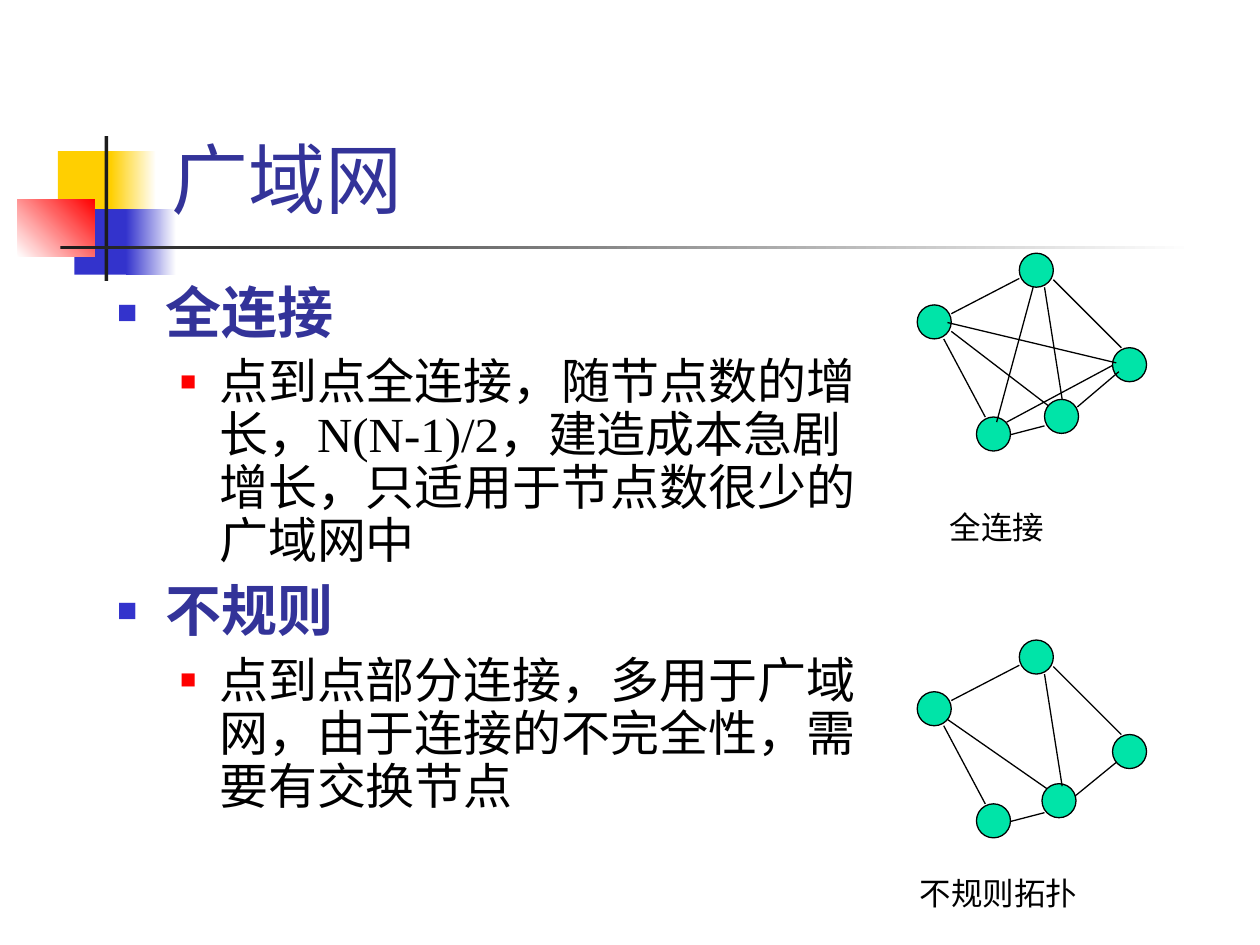
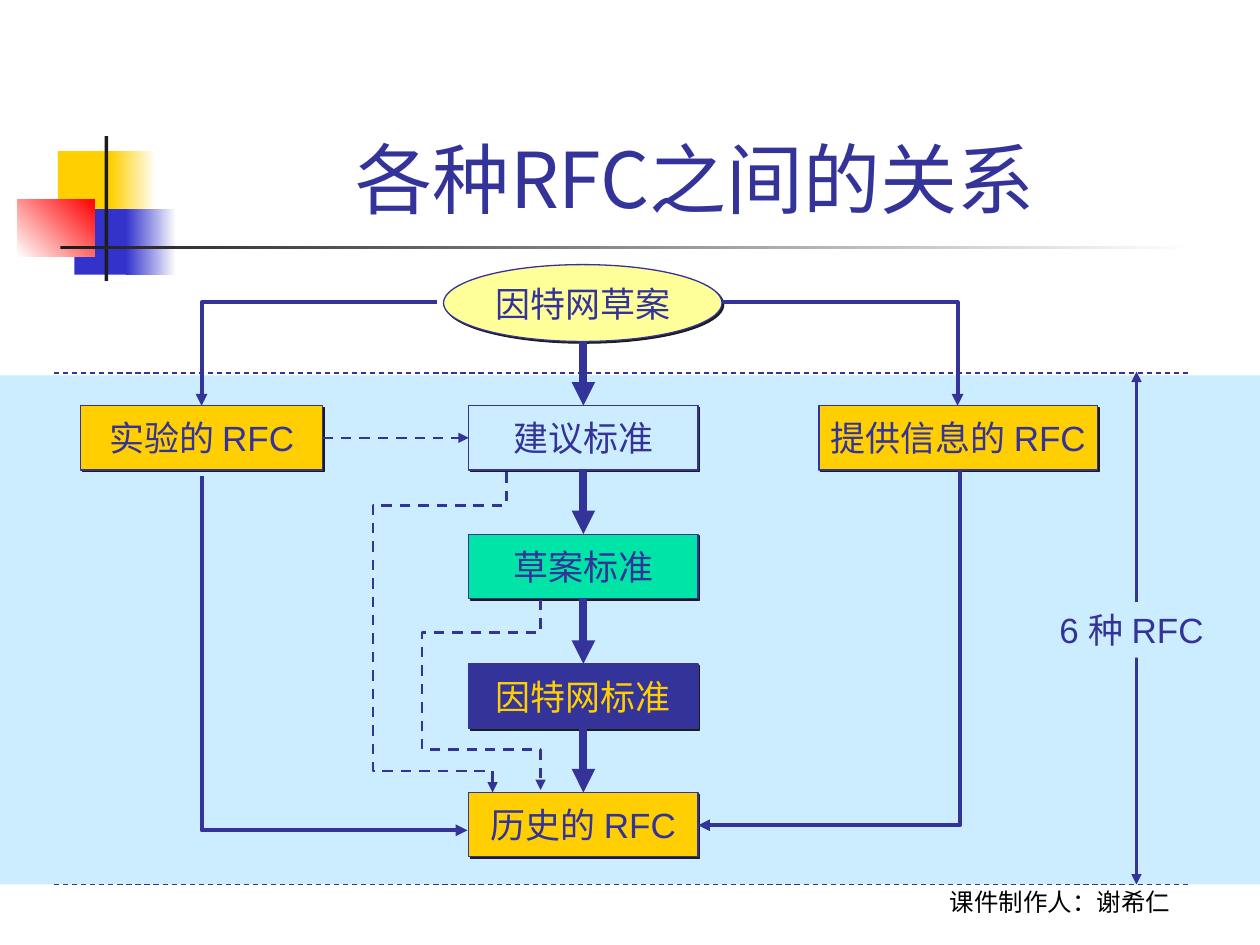
from dataclasses import dataclass

from lxml.etree import SubElement
from pptx import Presentation
from pptx.dml.color import RGBColor
from pptx.enum.dml import MSO_LINE
from pptx.enum.shapes import MSO_CONNECTOR, MSO_SHAPE
from pptx.enum.text import MSO_ANCHOR, MSO_AUTO_SIZE, PP_ALIGN
from pptx.oxml.ns import qn
from pptx.util import Inches, Pt


@dataclass(frozen=True)
class Theme:
    navy: str = "333399"
    blue: str = "3333CC"
    gold: str = "FFCF01"
    red: str = "FF0000"
    green: str = "00E4A8"
    sky: str = "CCECFF"
    cream: str = "FFFF99"
    ink: str = "1C1C1C"
    black: str = "000000"
    white: str = "FFFFFF"
    sans: str = "Arial"
    serif: str = "Times New Roman"
    cjk: str = "Noto Sans CJK SC"
    credit_font: str = "Roboto"
    title: int = 44
    topic: int = 32
    detail: int = 28
    label: int = 20
    caption: int = 18
    credit: int = 14


theme = Theme()


def stroke(shape, color, width, dash=False, **ends):
    shape.line.color.rgb = RGBColor.from_string(color)
    shape.line.width = Pt(width)
    if dash:
        shape.line.dash_style = MSO_LINE.DASH
    properties = shape._element.spPr
    for end, kind in ends.items():
        SubElement(properties.find(qn("a:ln")), qn(f"a:{end}"), type=kind)
    SubElement(properties, qn("a:effectLst"))


def write(paragraph, text, size, color, font=theme.sans, bold=False, align=PP_ALIGN.LEFT):
    paragraph.alignment = align
    run = paragraph.add_run()
    run.text = text
    for name, value in {"size": Pt(size), "name": font, "bold": bold}.items():
        setattr(run.font, name, value)
    run.font.color.rgb = RGBColor.from_string(color)
    SubElement(run._r.get_or_add_rPr(), qn("a:ea"), typeface=theme.cjk)


prs = Presentation()
prs.slide_width, prs.slide_height = Inches(10), Inches(7.5)
wan = prs.slides.add_slide(prs.slide_layouts[1])
rfc = prs.slides.add_slide(prs.slide_layouts[5])

ornaments = [
    ((0.46, 1.2, 0.48, 0.52), [theme.gold], 0),
    ((0.88, 1.2, 0.36, 0.52), [theme.gold, theme.white], 0),
    ((0.59, 1.66, 0.46, 0.52), [theme.blue], 0),
    ((1, 1.66, 0.4, 0.52), [theme.blue, theme.white], 0),
    ((0.14, 1.58, 0.61, 0.46), [theme.white, theme.red], 45),
    ((0.83, 1.08, 0.03, 1.15), [theme.ink], 0),
    ((0.48, 1.95, 9, 0.03), [theme.ink, theme.white], 0),
]
for order, (place, colors, angle) in enumerate(ornaments):
    ornament = wan.shapes.add_shape(MSO_SHAPE.RECTANGLE, *map(Inches, place))
    ornament.shadow.inherit = False
    ornament.line.fill.background()
    if len(colors) == 1:
        ornament.fill.solid()
        ornament.fill.fore_color.rgb = RGBColor.from_string(colors[0])
    else:
        ornament.fill.gradient()
        ornament.fill.gradient_angle = angle
        for stop, color in zip(ornament.fill.gradient_stops, colors):
            stop.color.rgb = RGBColor.from_string(color)
    ornament._element.nvSpPr.cNvPr.set("id", str(20 + order))
    prs.slide_master.shapes._spTree.insert(2 + order, ornament._element)

for slide, heading, font, align in [
    (wan, "广域网", theme.sans, PP_ALIGN.LEFT),
    (rfc, "各种RFC之间的关系", theme.cjk, PP_ALIGN.CENTER),
]:
    title = slide.shapes.title
    title.left, title.top, title.width, title.height = map(Inches, (1.26, 0.23, 8.52, 1.6))
    title.text_frame.vertical_anchor = MSO_ANCHOR.BOTTOM
    title.text_frame.auto_size = MSO_AUTO_SIZE.NONE
    write(title.text_frame.paragraphs[0], heading, theme.title, theme.navy, font, align=align)

points = wan.placeholders[1]
points.left, points.top, points.width, points.height = map(Inches, (0.83, 2.21, 6.14, 4.5))
points.text_frame.auto_size = MSO_AUTO_SIZE.NONE
levels = [
    {"margin": 0.38, "hang": 0.38, "bullet": theme.blue, "percent": 60, "before": 8,
     "type": (theme.topic, theme.navy, theme.cjk, True)},
    {"margin": 0.81, "hang": 0.31, "bullet": theme.red, "percent": 55, "before": 7,
     "type": (theme.detail, theme.black, theme.serif, False)},
]
for order, (level, text) in enumerate([
    (0, "全连接"),
    (1, "点到点全连接，随节点数的增长，N(N-1)/2，建造成本急剧增长，只适用于节点数很少的广域网中"),
    (0, "不规则"),
    (1, "点到点部分连接，多用于广域网，由于连接的不完全性，需要有交换节点"),
]):
    look = levels[level]
    point = points.text_frame.add_paragraph() if order else points.text_frame.paragraphs[0]
    point.level = level
    point.line_spacing = 0.9
    point.space_before = Pt(look["before"] if order else 0)
    layout = point._p.get_or_add_pPr()
    layout.set("marL", str(Inches(look["margin"])))
    layout.set("indent", str(-Inches(look["hang"])))
    SubElement(SubElement(layout, qn("a:buClr")), qn("a:srgbClr"), val=look["bullet"])
    SubElement(layout, qn("a:buSzPct"), val=str(look["percent"] * 1000))
    SubElement(layout, qn("a:buFont"), typeface=theme.sans)
    SubElement(layout, qn("a:buChar"), char="■")
    write(point, text, *look["type"])

outer_nodes = [(8.09, 2.01), (7.28, 2.42), (7.75, 3.31), (8.83, 2.76)]
shared_links = [
    (7.55, 2.49, 8.09, 2.21), (7.49, 2.69, 7.82, 3.31), (8.29, 2.28, 8.43, 3.17),
    (8.36, 2.22, 8.9, 2.76), (8.02, 3.45, 8.29, 3.38),
]
full_links = [
    (7.55, 2.63, 8.32, 3.22), (8.2, 2.28, 7.91, 3.35), (7.99, 3.35, 8.83, 2.9),
    (7.52, 2.56, 8.86, 2.88), (8.55, 3.23, 8.88, 2.95),
]
partial_links = [(7.52, 2.64, 8.31, 3.19), (8.53, 3.25, 8.86, 2.98)]
for drop, inner_node, extra_links, caption, caption_place in [
    (0, (8.29, 3.17), full_links, "全连接", (7.44, 3.98, 1.1, 0.4)),
    (3.07, (8.27, 3.15), partial_links, "不规则拓扑", (7.2, 6.89, 1.5, 0.4)),
]:
    for x, y in outer_nodes + [inner_node]:
        node = wan.shapes.add_shape(
            MSO_SHAPE.OVAL, Inches(x), Inches(y + drop), Inches(0.27), Inches(0.27))
        node.fill.solid()
        node.fill.fore_color.rgb = RGBColor.from_string(theme.green)
        stroke(node, theme.black, 0.75)
    for x1, y1, x2, y2 in shared_links + extra_links:
        link = wan.shapes.add_connector(
            MSO_CONNECTOR.STRAIGHT, *map(Inches, (x1, y1 + drop, x2, y2 + drop)))
        stroke(link, theme.black, 0.75)
    topology = wan.shapes.add_textbox(*map(Inches, caption_place)).text_frame
    topology.word_wrap = True
    write(topology.paragraphs[0], caption, theme.caption, theme.black)

credit = rfc.shapes.add_textbox(*map(Inches, (6.83, 6.82, 3.17, 0.5))).text_frame
credit.word_wrap = True
credit.vertical_anchor = MSO_ANCHOR.BOTTOM
write(credit.paragraphs[0], "课件制作人：谢希仁", theme.credit, theme.black,
      theme.credit_font, align=PP_ALIGN.CENTER)

rfc_zone = rfc.shapes.add_shape(MSO_SHAPE.RECTANGLE, 0, Inches(2.98), Inches(10), Inches(4.04))
rfc_zone.shadow.inherit = False
rfc_zone.fill.solid()
rfc_zone.fill.fore_color.rgb = RGBColor.from_string(theme.sky)
rfc_zone.line.fill.background()

box, oval = MSO_SHAPE.RECTANGLE, MSO_SHAPE.OVAL
stages = {}
for text, kind, place, fill, color in [
    ("因特网草案", oval, (3.52, 2.1, 2.21, 0.61), theme.cream, theme.navy),
    ("建议标准", box, (3.72, 3.22, 1.82, 0.51), theme.sky, theme.navy),
    ("草案标准", box, (3.72, 4.24, 1.82, 0.51), theme.green, theme.navy),
    ("因特网标准", box, (3.72, 5.27, 1.82, 0.51), theme.navy, theme.gold),
    ("历史的 RFC", box, (3.72, 6.29, 1.82, 0.51), theme.gold, theme.navy),
    ("实验的 RFC", box, (0.64, 3.22, 1.92, 0.51), theme.gold, theme.navy),
    ("提供信息的 RFC", box, (6.5, 3.22, 2.21, 0.51), theme.gold, theme.navy),
]:
    stage = rfc.shapes.add_shape(kind, *map(Inches, place))
    stage.fill.solid()
    stage.fill.fore_color.rgb = RGBColor.from_string(fill)
    stroke(stage, theme.navy, 0.75)
    shadow = SubElement(stage._element.spPr.find(qn("a:effectLst")), qn("a:outerShdw"),
                        dist=str(Pt(1.4)), dir="2700000", algn="ctr", rotWithShape="0")
    SubElement(shadow, qn("a:srgbClr"), val=theme.ink)
    stage.text_frame.word_wrap = False
    stage.text_frame.vertical_anchor = MSO_ANCHOR.MIDDLE
    write(stage.text_frame.paragraphs[0], text, theme.label, color, align=PP_ALIGN.CENTER)
    stages[text] = stage

main_track = list(stages.values())[:5]
steps = [(upper, 2, lower, 0, 4.5, False) for upper, lower in zip(main_track, main_track[1:])]
steps.append((stages["实验的 RFC"], 3, stages["建议标准"], 1, 1.5, True))
for source, exit_side, target, entry_side, width, dash in steps:
    step = rfc.shapes.add_connector(
        MSO_CONNECTOR.STRAIGHT, Inches(4.63), Inches(2.71), Inches(4.63), Inches(3.22))
    if source is main_track[0]:
        step.begin_x, step.begin_y = Inches(4.63), Inches(2.71)
    else:
        step.begin_connect(source, exit_side)
    step.end_connect(target, entry_side)
    stroke(step, theme.navy, width, dash, tailEnd="triangle")

for width, dash, corners in [
    (2.25, False, [(5.73, 2.4), (7.6, 2.4), (7.6, 3.22)]),
    (2.25, False, [(3.47, 2.4), (1.6, 2.4), (1.6, 3.22)]),
    (2.25, False, [(1.6, 3.78), (1.6, 6.59), (3.71, 6.59)]),
    (2.25, False, [(7.62, 3.73), (7.62, 6.55), (5.54, 6.55)]),
    (1.5, True, [(4.02, 3.75), (4.02, 4.01), (2.96, 4.01), (2.96, 6.12), (3.91, 6.12), (3.91, 6.29)]),
    (1.5, True, [(4.29, 4.76), (4.29, 5.02), (3.35, 5.02), (3.35, 5.95), (4.29, 5.95), (4.29, 6.27)]),
]:
    start, *turns = [(Inches(x), Inches(y)) for x, y in corners]
    outline = rfc.shapes.build_freeform(*start)
    outline.add_line_segments(turns, close=False)
    route = outline.convert_to_shape()
    route.fill.background()
    stroke(route, theme.navy, width, dash, tailEnd="triangle")

for y in (2.96, 7.02):
    boundary = rfc.shapes.add_connector(
        MSO_CONNECTOR.STRAIGHT, Inches(0.43), Inches(y), Inches(9.44), Inches(y))
    stroke(boundary, theme.navy, 0.75, True)
span = rfc.shapes.add_connector(
    MSO_CONNECTOR.STRAIGHT, Inches(9.02), Inches(2.95), Inches(9.02), Inches(7.02))
stroke(span, theme.navy, 1.5, headEnd="triangle", tailEnd="triangle")

rfc_count = rfc.shapes.add_textbox(*map(Inches, (8.31, 4.78, 1.55, 0.44)))
rfc_count.fill.solid()
rfc_count.fill.fore_color.rgb = RGBColor.from_string(theme.sky)
rfc_count.text_frame.word_wrap = False
write(rfc_count.text_frame.paragraphs[0], "6 种 RFC", theme.label, theme.navy)

prs.save("out.pptx")
